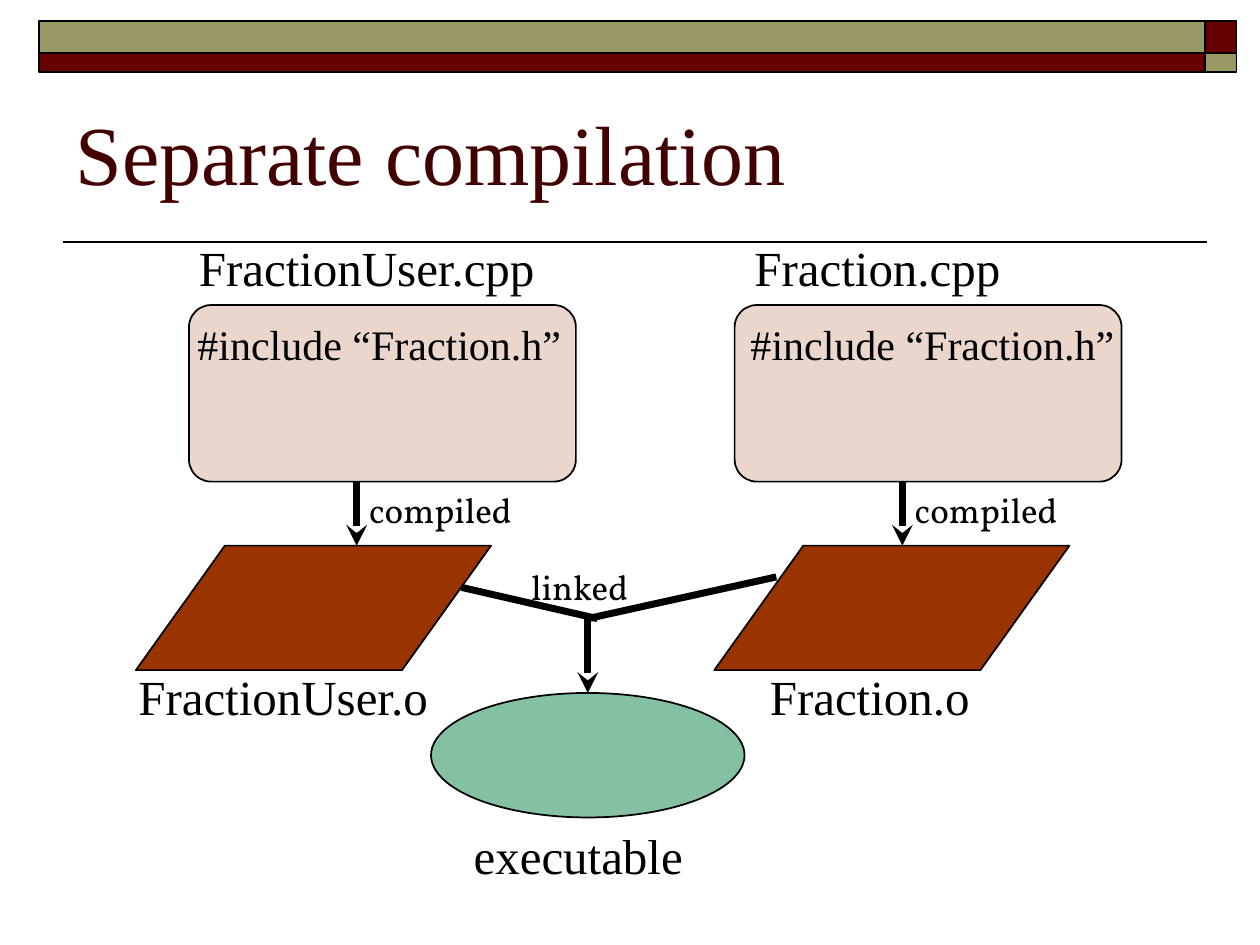
from lxml.etree import SubElement as Sub
from pptx import Presentation
from pptx.dml.color import RGBColor as Rgb
from pptx.enum.shapes import MSO_CONNECTOR as Link, MSO_SHAPE as Kind
from pptx.enum.text import MSO_ANCHOR as Anchor
from pptx.oxml.ns import qn
from pptx.util import Cm, Pt

HUE = {"wine": "660000", "olive": "999966", "title": "420000",
       "rust": "993300", "green": "339966", "black": "000000"}
SERIF, SLAB = "Times New Roman", "Vollkorn"

TITLE = "Separate compilation"
UNITS = [
    {"source": ("FractionUser.cpp", 3.76), "code": ("#include “Fraction.h”", 3.73),
     "object": ("FractionUser.o", 2.54), "box": 3.81, "slant": 2.74},
    {"source": ("Fraction.cpp", 14.96), "code": ("#include “Fraction.h”", 14.88),
     "object": ("Fraction.o", 15.27), "box": 14.81, "slant": 14.4},
]
STEP, JOIN, RESULT = "compiled", "linked", "executable"
BAR_X, BAR_W, END_W = 0.79, 23.5, 0.64
BANDS = [(0.43, 0.64, "olive", "wine"), (1.07, 0.38, "wine", "olive")]
BOX_Y, BOX_W, BOX_H = 6.15, 7.8, 3.56
SLANT_Y, SLANT_W, SLANT_H = 11, 7.16, 2.51
ARROW_IN = 3.38
HUB = (11.85, 12.47)
FEEDS = [((9.3, 11.84), (12.04, 12.47)), ((15.65, 11.63), HUB)]

deck = Presentation()
deck.slide_width, deck.slide_height = Cm(25.4), Cm(19.05)
slide = deck.slides.add_slide(deck.slide_layouts[6])
parts = slide.shapes


def shape(kind, x, y, w, h, hue, alpha=None, adj=None):
    item = parts.add_shape(kind, Cm(x), Cm(y), Cm(w), Cm(h))
    item.shadow.inherit = False
    item.fill.solid()
    item.fill.fore_color.rgb = Rgb.from_string(HUE[hue])
    item.line.color.rgb = Rgb.from_string(HUE["black"])
    item.line.width = Pt(1)
    if adj is not None:
        item.adjustments[0] = adj
    if alpha is not None:
        tint = item.fill._xPr.find(".//" + qn("a:srgbClr"))
        Sub(tint, qn("a:alpha"), val=str(alpha * 1000))
    return item


def line(start, end, width=4, arrow=False):
    item = parts.add_connector(Link.STRAIGHT, *map(Cm, start + end))
    item.line.color.rgb = Rgb.from_string(HUE["black"])
    item.line.width = Pt(width)
    if arrow:
        Sub(item.line._get_or_add_ln(), qn("a:tailEnd"), type="stealth")
    Sub(item._element.spPr, qn("a:effectLst"))
    return item


def label(text, x, y, w, h, size, face=SERIF, hue="black"):
    frame = parts.add_textbox(Cm(x), Cm(y), Cm(w), Cm(h)).text_frame
    frame.text = text
    font = frame.paragraphs[0].font
    font.size, font.name = Pt(size), face
    font.color.rgb = Rgb.from_string(HUE[hue])
    return frame


line((24.33, 4.88), (1.27, 4.88), 1)
for y, h, long, short in BANDS:
    shape(Kind.RECTANGLE, BAR_X, y, BAR_W, h, long)
    shape(Kind.RECTANGLE, BAR_X + BAR_W, y, END_W, h, short)

head = label(TITLE, 1.27, 1.47, 22.86, 3.18, 48, hue="title")
head.word_wrap = True
head.vertical_anchor = Anchor.MIDDLE

for unit in UNITS:
    x = unit["box"]
    shape(Kind.ROUNDED_RECTANGLE, x, BOX_Y, BOX_W, BOX_H, "rust", 20, 0.125)
    label(*unit["source"], 4.67, 7.3, 1.45, 28)
    label(*unit["code"], 6.3, 7.9, 1.27, 24)
    stem = x + ARROW_IN
    line((stem, BOX_Y + BOX_H), (stem, SLANT_Y), arrow=True)
    label(STEP, stem, 9.73, 3.91, 1.12, 20, SLAB)
    shape(Kind.PARALLELOGRAM, unit["slant"], SLANT_Y, SLANT_W, SLANT_H, "rust", adj=0.715)
    label(*unit["object"], 13.31, 6.4, 1.45, 28)

oval = shape(Kind.OVAL, 8.69, 13.97, 6.32, 2.51, "green", 60)
label(RESULT, 9.3, 16.51, 4.72, 1.45, 28)
for start, end in FEEDS:
    line(start, end)
line(HUB, (HUB[0], 13.97), arrow=True).end_connect(oval, 0)
label(JOIN, 10.46, 11.28, 3.05, 1.12, 20, SLAB)

deck.save("out.pptx")
